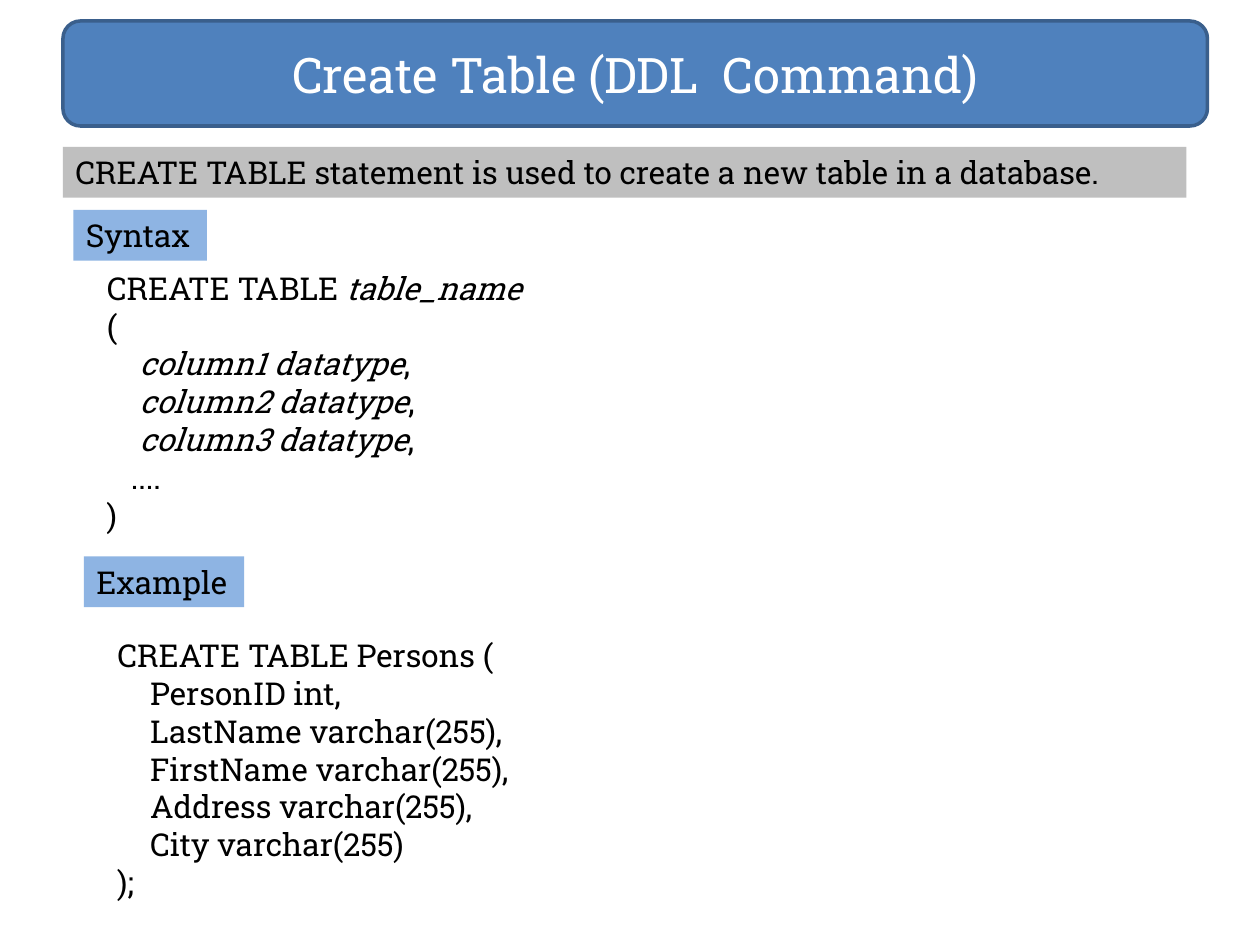
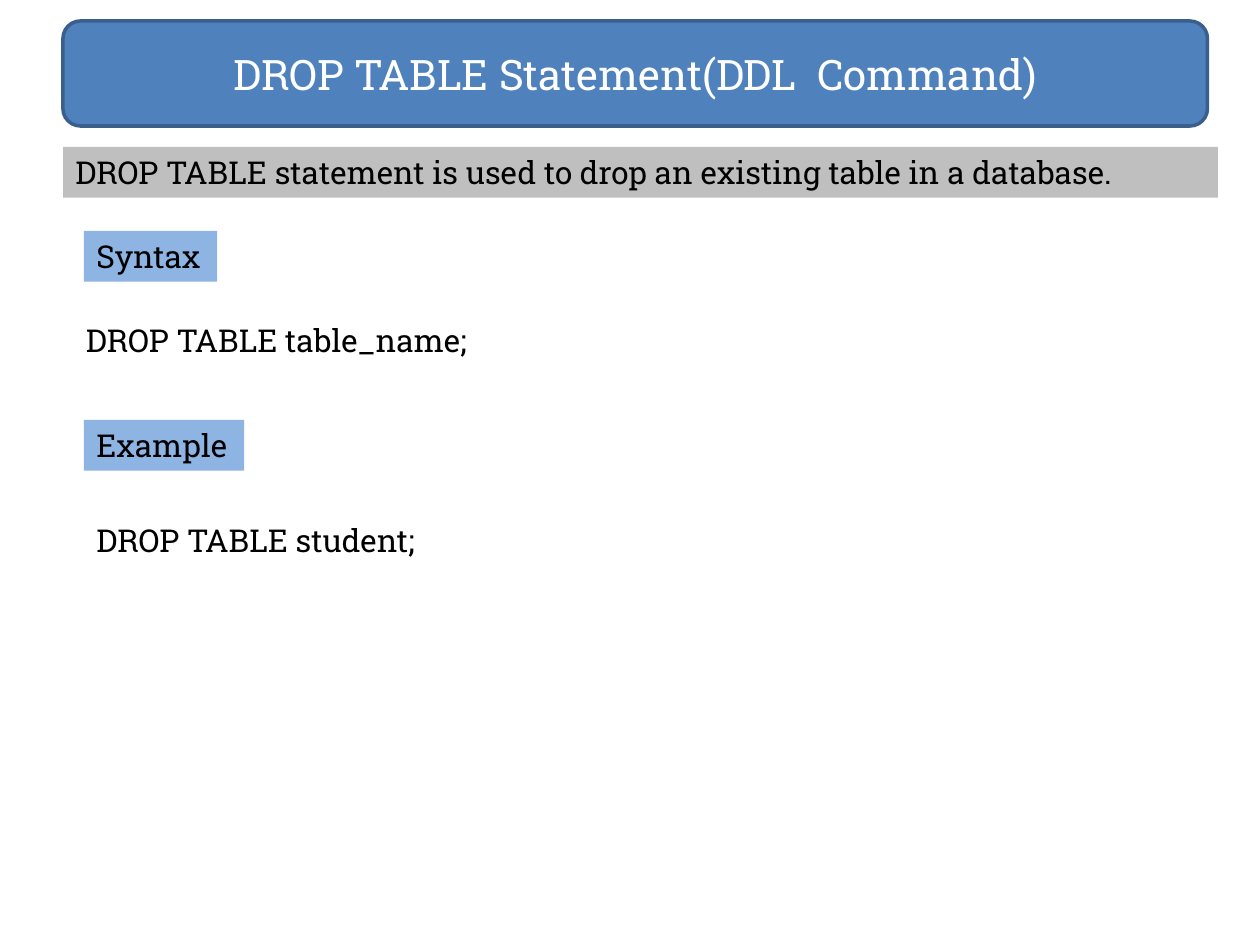
from pptx import Presentation
from pptx.dml.color import RGBColor
from pptx.enum.shapes import MSO_SHAPE as SHAPE
from pptx.enum.text import MSO_ANCHOR as ANCHOR, PP_ALIGN as ALIGN
from pptx.util import Inches, Pt

COLORS = {"title": "4F81BD", "title_line": "3A5F8C", "summary": "BFBFBF",
          "label": "8EB4E3", "light": "FFFFFF", "dark": "000000"}
FONT = "Roboto Slab"
COLS, ROWS = 120, 90      # grid of the slide
LINE_ROWS = 3.64          # height of one line of body text
PAD_ROWS = 1.2            # top and bottom insets of a text box
INDENT, DOTS_INDENT = 0.26, 0.19   # inches

prs = Presentation()
prs.slide_width, prs.slide_height = Inches(10), Inches(7.5)


def place(col, row, cols, rows):
    """Turn a box in grid units into slide lengths."""
    w, h = prs.slide_width / COLS, prs.slide_height / ROWS
    return [round(v) for v in (col * w, row * h, cols * w, rows * h)]


def write(sp, lines, size=18, color="dark", align=ALIGN.LEFT,
          anchor=ANCHOR.TOP, wrap=True):
    """Write (indent, text) lines; text between asterisks is italic."""
    tf = sp.text_frame
    tf.word_wrap, tf.vertical_anchor = wrap, anchor
    for i, (indent, text) in enumerate(lines):
        p = tf.paragraphs[0] if i == 0 else tf.add_paragraph()
        p.alignment = align
        if indent:
            p._p.get_or_add_pPr().set("marL", str(Inches(indent)))
        for j, part in enumerate(text.split("*")):
            if part:
                r = p.add_run()
                r.text = part
                r.font.name, r.font.size = FONT, Pt(size)
                r.font.italic = j % 2 == 1
                r.font.color.rgb = RGBColor.from_string(COLORS[color])


def panel(s, box, text, fill, kind=SHAPE.RECTANGLE, line=None, **fmt):
    sp = s.shapes.add_shape(kind, *place(*box))
    sp.shadow.inherit = False
    sp.fill.solid()
    sp.fill.fore_color.rgb = RGBColor.from_string(COLORS[fill])
    if line:
        sp.line.color.rgb = RGBColor.from_string(COLORS[line])
        sp.line.width = Pt(2)
    else:
        sp.line.fill.background()
    write(sp, [(0, text)], **fmt)


def header(s, title, size, summary, summary_cols):
    # Title band
    panel(s, (6, 2, 109, 10), title, "title", SHAPE.ROUNDED_RECTANGLE,
          "title_line", size=size, color="light", align=ALIGN.CENTER,
          anchor=ANCHOR.MIDDLE)
    # Summary strip
    panel(s, (6, 14, summary_cols, LINE_ROWS + PAD_ROWS), summary, "summary")


def section(s, label, label_at, label_cols, code, code_at, code_cols):
    # Label tag
    panel(s, (*label_at, label_cols, LINE_ROWS + PAD_ROWS), label, "label",
          wrap=False)
    # Code below it
    rows = len(code) * LINE_ROWS + PAD_ROWS
    write(s.shapes.add_textbox(*place(*code_at, code_cols, rows)), code)


def command_slide(title, size, summary, summary_cols, syntax, example):
    s = prs.slides.add_slide(prs.slide_layouts[6])
    header(s, title, size, summary, summary_cols)
    section(s, "Syntax", syntax[0], 12.7, *syntax[1:], 102)
    section(s, "Example", example[0], 15.25, *example[1:], 100)


# Create table
columns = [(INDENT, f"*column{n} datatype*,") for n in (1, 2, 3)]
create_syntax = [(0, "CREATE TABLE *table_name*"), (0, "("), *columns,
                 (DOTS_INDENT, "...."), (0, ")")]
fields = ["PersonID int,", "LastName varchar(255),", "FirstName varchar(255),",
          "Address varchar(255),", "City varchar(255)"]
create_example = [(0, "CREATE TABLE Persons ("),
                  *[(INDENT, f) for f in fields], (0, ");")]
command_slide("Create Table (DDL  Command)", 28,
              "CREATE TABLE statement is used to create a new table in a database.",
              107, ((7, 20), create_syntax, (9, 25)),
              ((8, 53), create_example, (10, 60)))

# Drop table
command_slide("DROP TABLE Statement(DDL  Command)", 24,
              "DROP TABLE statement is used to drop an existing table in a database.",
              110, ((8, 22), [(0, "DROP TABLE table_name;")], (7, 30)),
              ((8, 40), [(0, "DROP TABLE student;")], (8, 49)))

prs.save("out.pptx")
